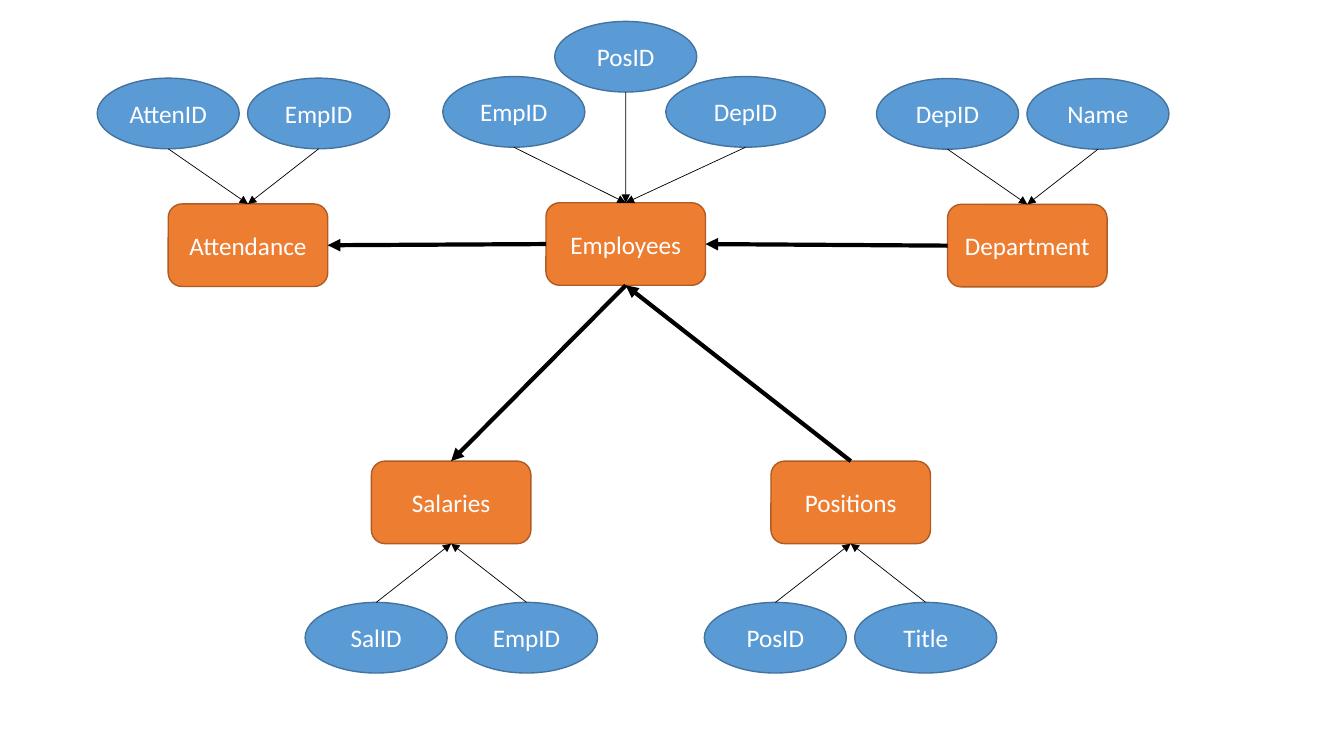
import pptx
import pptx.util
import pptx.dml.color
import pptx.enum.shapes
import pptx.enum.text
import pptx.oxml.ns
from lxml import etree

Cm, Pt = pptx.util.Cm, pptx.util.Pt
RGBColor = pptx.dml.color.RGBColor
MSO_SHAPE = pptx.enum.shapes.MSO_SHAPE
qn = pptx.oxml.ns.qn

COLORS = {
    "entity": "ED7D31", "entity_line": "AF5C24",
    "attribute": "5B9BD5", "attribute_line": "43739E",
    "text": "FFFFFF", "arrow": "000000",
}
FONT = {"name": "Calibri", "size": Pt(18)}
PADDING = {"margin_left": Cm(0.1), "margin_right": Cm(0.1), "word_wrap": True,
           "vertical_anchor": pptx.enum.text.MSO_ANCHOR.MIDDLE}
KINDS = {"entity": MSO_SHAPE.ROUNDED_RECTANGLE, "attribute": MSO_SHAPE.OVAL}
ENTITY_WIDTH, ENTITY_HEIGHT = 4.02, 2.08
ATTRIBUTE_WIDTH, ATTRIBUTE_HEIGHT = 3.58, 1.78
TOP, LEFT, BOTTOM, RIGHT = range(4)  # connection sites of a rounded rectangle

# name, left, top, attributes as (name, left, top, width)
ENTITIES = [
    ("Employees", 13.76, 5.11, [("DepID", 16.78, 1.93, ENTITY_WIDTH),
                                ("EmpID", 11.16, 1.93, ATTRIBUTE_WIDTH),
                                ("PosID", 13.98, 0.54, ATTRIBUTE_WIDTH)]),
    ("Positions", 19.43, 11.62, [("PosID", 17.75, 15.18, ATTRIBUTE_WIDTH),
                                 ("Title", 21.54, 15.18, ATTRIBUTE_WIDTH)]),
    ("Attendance", 4.24, 5.14, [("AttenID", 2.45, 1.97, ATTRIBUTE_WIDTH),
                                ("EmpID", 6.24, 1.97, ATTRIBUTE_WIDTH)]),
    ("Department", 23.88, 5.15, [("DepID", 22.09, 1.98, ATTRIBUTE_WIDTH),
                                 ("Name", 25.88, 1.98, ATTRIBUTE_WIDTH)]),
    ("Salaries", 9.36, 11.62, [("SalID", 7.69, 15.18, ATTRIBUTE_WIDTH),
                               ("EmpID", 11.48, 15.18, ATTRIBUTE_WIDTH)]),
]
RELATIONSHIPS = [
    ("Employees", BOTTOM, "Salaries", TOP),
    ("Positions", TOP, "Employees", BOTTOM),
    ("Employees", LEFT, "Attendance", RIGHT),
    ("Department", LEFT, "Employees", RIGHT),
]


def add_node(shapes, kind, name, left, top, width, height):
    """Add a labelled entity box or attribute ellipse, measured in centimetres."""
    shape = shapes.add_shape(KINDS[kind], Cm(left), Cm(top), Cm(width), Cm(height))
    shape.shadow.inherit = False
    shape.fill.solid()
    shape.fill.fore_color.rgb = RGBColor.from_string(COLORS[kind])
    shape.line.color.rgb = RGBColor.from_string(COLORS[kind + "_line"])
    shape.line.width = Pt(1)
    for key, value in PADDING.items():
        setattr(shape.text_frame, key, value)
    paragraph = shape.text_frame.paragraphs[0]
    paragraph.alignment = pptx.enum.text.PP_ALIGN.CENTER
    run = paragraph.add_run()
    run.text = name
    for key, value in FONT.items():
        setattr(run.font, key, value)
    run.font.color.rgb = RGBColor.from_string(COLORS["text"])
    return shape


def add_arrow(shapes, begin, end, width):
    arrow = shapes.add_connector(pptx.enum.shapes.MSO_CONNECTOR.STRAIGHT, *begin, *end)
    arrow.line.color.rgb = RGBColor.from_string(COLORS["arrow"])
    arrow.line.width = Pt(width)
    etree.SubElement(arrow.line._get_or_add_ln(), qn("a:tailEnd"), type="triangle")
    etree.SubElement(arrow._element.spPr, qn("a:effectLst"))
    return arrow


presentation = pptx.Presentation()
presentation.slide_width, presentation.slide_height = Cm(33.87), Cm(19.05)
slide = presentation.slides.add_slide(presentation.slide_layouts[6])

# Each entity is grouped with its attributes and their arrows
entity_shapes = {}
for name, left, top, attributes in ENTITIES:
    group = slide.shapes.add_group_shape()
    entity = add_node(group.shapes, "entity", name, left, top, ENTITY_WIDTH, ENTITY_HEIGHT)
    entity_shapes[name] = entity
    ellipses = [add_node(group.shapes, "attribute", *attribute, ATTRIBUTE_HEIGHT)
                for attribute in attributes]
    for ellipse in ellipses:
        above = ellipse.top < entity.top
        begin = (ellipse.left + ellipse.width // 2,
                 ellipse.top + ellipse.height if above else ellipse.top)
        end = (entity.left + entity.width // 2,
               entity.top if above else entity.top + entity.height)
        arrow = add_arrow(group.shapes, begin, end, 0.5)
        arrow.end_connect(entity, TOP if above else BOTTOM)

for source, source_site, target, target_site in RELATIONSHIPS:
    arrow = add_arrow(slide.shapes, (0, 0), (0, 0), 3)
    arrow.begin_connect(entity_shapes[source], source_site)
    arrow.end_connect(entity_shapes[target], target_site)

presentation.save("out.pptx")
